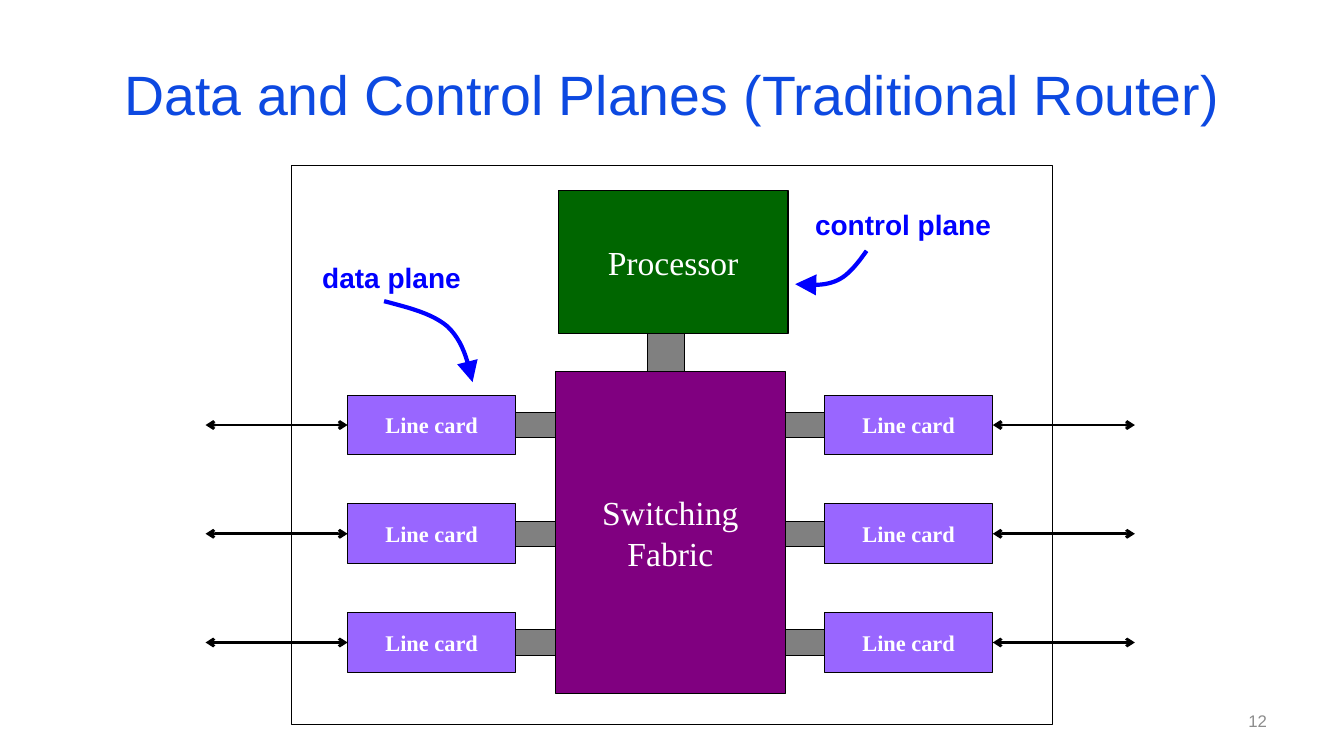
from lxml import etree
from pptx import Presentation
from pptx.dml.color import RGBColor
from pptx.enum.shapes import MSO_CONNECTOR, MSO_SHAPE
from pptx.enum.text import MSO_ANCHOR, PP_ALIGN
from pptx.oxml.ns import qn
from pptx.util import Cm, Pt

RECT = MSO_SHAPE.RECTANGLE
STRAIGHT = MSO_CONNECTOR.STRAIGHT
MIDDLE, TOP = MSO_ANCHOR.MIDDLE, MSO_ANCHOR.TOP
LEFT, CENTER, RIGHT = PP_ALIGN.LEFT, PP_ALIGN.CENTER, PP_ALIGN.RIGHT
SERIF, SANS = "Times New Roman", "Arial"
BLACK, WHITE, BLUE, GRAY = "000000", "FFFFFF", "0000FF", "808080"

deck = Presentation()
deck.slide_width, deck.slide_height = Cm(33.87), Cm(19.05)
slide = deck.slides.add_slide(deck.slide_layouts[6])
shapes = slide.shapes


def box(left, top, width, height, fill=None):
    """Add a thinly outlined rectangle, hollow if no fill is given."""
    rect = shapes.add_shape(RECT, Cm(left), Cm(top), Cm(width), Cm(height))
    rect.shadow.inherit = False
    if fill:
        rect.fill.solid()
        rect.fill.fore_color.rgb = RGBColor.from_string(fill)
    else:
        rect.fill.background()
    rect.line.color.rgb = RGBColor.from_string(BLACK)
    rect.line.width = Pt(0.75)
    return rect


def write(shape, text, size, font, color, align=CENTER, anchor=MIDDLE, bold=False):
    frame = shape.text_frame
    frame.text = text
    frame.word_wrap = True
    frame.vertical_anchor = anchor
    for para in frame.paragraphs:
        para.alignment = align
        for run in para.runs:
            run.font.size = Pt(size)
            run.font.name = font
            run.font.bold = bold
            run.font.color.rgb = RGBColor.from_string(color)


# Core of the router
fabric = box(14, 9.37, 5.79, 8.1, "800080")
write(fabric, "Switching\nFabric", 24, SERIF, WHITE)
cpu = box(14.07, 4.8, 5.79, 3.61, "006600")
write(cpu, "Processor", 24, SERIF, WHITE)
box(16.33, 8.41, 0.91, 0.96, GRAY)

# Line cards: card left, link left, arrow start, arrow end, card side
strokes = []
card_w, card_h, link_h = 4.24, 1.5, 0.64
sides = [(8.76, 13, 8.76, 5.18, 1), (20.78, 19.79, 25.02, 28.6, 3)]
for card_x, link_x, start, end, side in sides:
    for row in range(3):
        top = 9.96 + row * 2.74
        mid = top + card_h / 2
        card = box(card_x, top, card_w, card_h, "9966FF")
        write(card, "Line card", 16, SERIF, WHITE, bold=True)
        box(link_x, mid - link_h / 2, 0.99, link_h, GRAY)
        wire = shapes.add_connector(STRAIGHT, Cm(start), Cm(mid), Cm(end), Cm(mid))
        wire.begin_connect(card, side)
        strokes.append((wire, BLACK, 2, "med", {"a:headEnd": "arrow", "a:tailEnd": "arrow"}))

box(7.34, 4.17, 19.18, 14.1)

# Curved pointers, each made of two cubic Bezier spans
curves = [
    [(9.68, 7.59), (10.29, 7.75), (10.9, 7.9), (11.28, 8.23),
     (11.66, 8.59), (11.79, 9.09), (11.91, 9.63)],
    [(21.84, 6.32), (21.62, 6.63), (21.39, 6.93), (21.11, 7.06),
     (20.8, 7.21), (20.42, 7.19), (20.04, 7.16)],
]
steps = 12
for knots in curves:
    dots = []
    for first in (0, 3):
        span = knots[first:first + 4]
        for step in range(1, steps + 1):
            t = step / steps
            parts = ((1 - t) ** 3, 3 * t * (1 - t) ** 2, 3 * t ** 2 * (1 - t), t ** 3)
            dots.append([Cm(sum(w * p[axis] for w, p in zip(parts, span)))
                         for axis in (0, 1)])
    trace = shapes.build_freeform(Cm(knots[0][0]), Cm(knots[0][1]))
    trace.add_line_segments(dots, close=False)
    curve = trace.convert_to_shape()
    curve.fill.background()
    strokes.append((curve, BLUE, 3, "lg", {"a:tailEnd": "triangle"}))

for stroke, color, weight, size, ends in strokes:
    stroke.line.color.rgb = RGBColor.from_string(color)
    stroke.line.width = Pt(weight)
    props = stroke.element.spPr
    for end, head in ends.items():
        etree.SubElement(props.find(qn("a:ln")), qn(end), type=head, w=size, len=size)
    etree.SubElement(props, qn("a:effectLst"))

# Title, plane labels and page number
notes = [
    (1.7, 0.76, 30.48, 3.18, "Data and Control Planes (Traditional Router)",
     39.6, "0D49E1", CENTER, MIDDLE, False),
    (7.87, 6.43, 4.5, 1.09, "data plane", 20, BLUE, LEFT, TOP, True),
    (20.29, 5.11, 5.5, 1.09, "control plane", 20, BLUE, LEFT, TOP, True),
    (24.28, 17.65, 7.9, 1.02, "12", 12, "8C8C8C", RIGHT, MIDDLE, False),
]
for left, top, width, height, text, size, color, align, anchor, bold in notes:
    label = shapes.add_textbox(Cm(left), Cm(top), Cm(width), Cm(height))
    write(label, text, size, SANS, color, align, anchor, bold)

deck.save("out.pptx")
